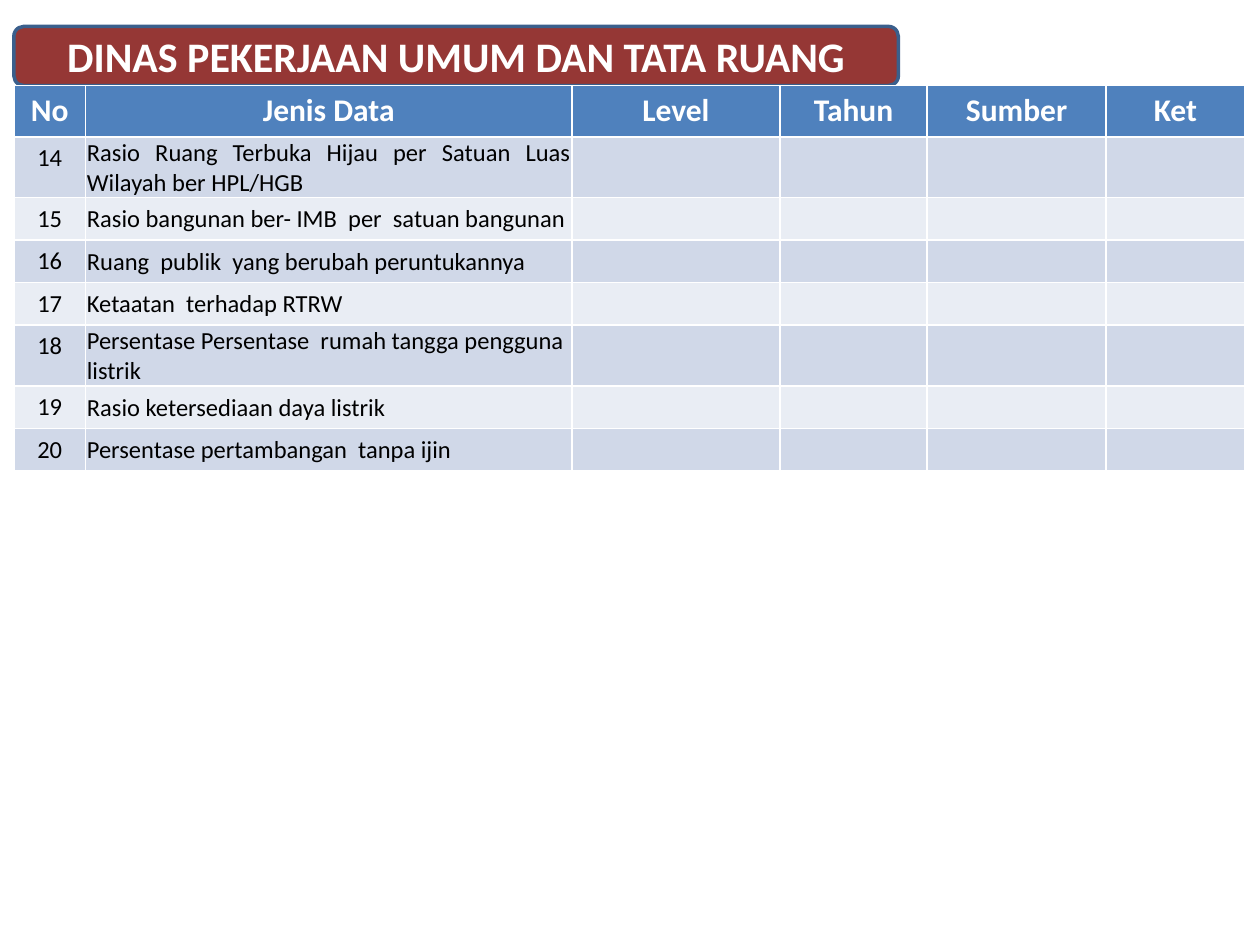
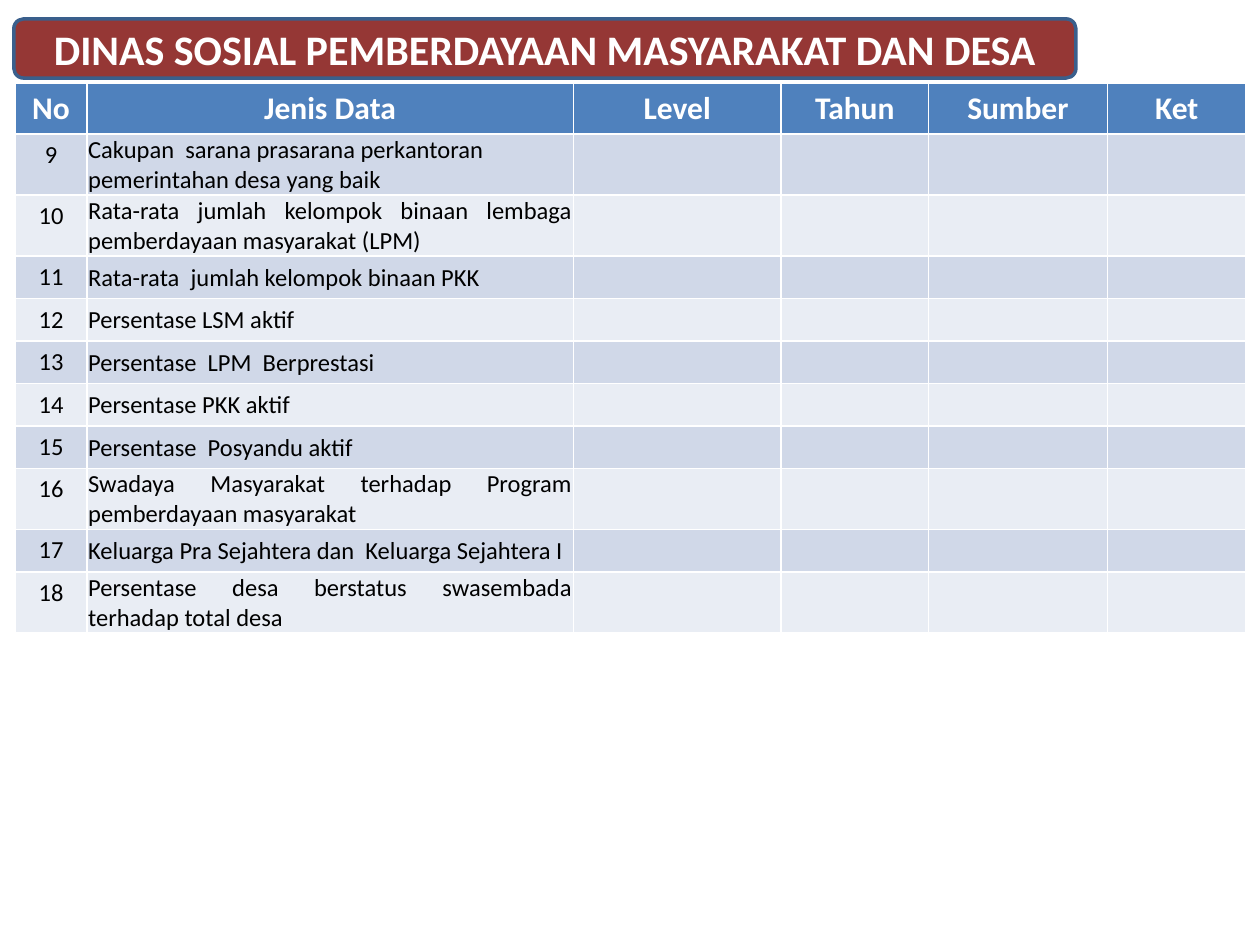
from dataclasses import dataclass

from pptx import Presentation
from pptx.dml.color import RGBColor
from pptx.enum.shapes import MSO_SHAPE as Shape
from pptx.enum.text import MSO_ANCHOR as Anchor, PP_ALIGN as Align
from pptx.util import Inches, Pt


@dataclass(frozen=True)
class Theme:
    font: str = "Calibri"
    title_fill: RGBColor = RGBColor(0x95, 0x37, 0x35)
    title_line: RGBColor = RGBColor(0x3A, 0x5F, 0x8C)
    header_fill: RGBColor = RGBColor(0x4F, 0x81, 0xBD)
    band_fills: tuple = (RGBColor(0xD0, 0xD8, 0xE8), RGBColor(0xE9, 0xED, 0xF4))
    light: RGBColor = RGBColor(0xFF, 0xFF, 0xFF)
    dark: RGBColor = RGBColor(0, 0, 0)
    title_size: Pt = Pt(24)
    header_size: Pt = Pt(18)
    body_size: Pt = Pt(14)


COLUMNS = {"No": 0.57, "Jenis Data": 3.86, "Level": 1.65,
           "Tahun": 1.17, "Sumber": 1.42, "Ket": 1.1}
HEADER_HEIGHT = 0.36
ROW_HEIGHT = 0.33

PUBLIC_WORKS = [
    "Rasio Ruang Terbuka Hijau per Satuan Luas Wilayah ber HPL/HGB",
    "Rasio bangunan ber- IMB  per  satuan bangunan",
    "Ruang  publik  yang berubah peruntukannya",
    "Ketaatan  terhadap RTRW",
    "Persentase Persentase  rumah tangga pengguna listrik",
    "Rasio ketersediaan daya listrik",
    "Persentase pertambangan  tanpa ijin",
]
SOCIAL_AFFAIRS = [
    "Cakupan  sarana prasarana perkantoran pemerintahan desa yang baik",
    "Rata-rata jumlah kelompok binaan lembaga pemberdayaan masyarakat (LPM)",
    "Rata-rata  jumlah kelompok binaan PKK",
    "Persentase LSM aktif",
    "Persentase  LPM  Berprestasi",
    "Persentase PKK aktif",
    "Persentase  Posyandu aktif",
    "Swadaya Masyarakat terhadap Program pemberdayaan masyarakat",
    "Keluarga Pra Sejahtera dan  Keluarga Sejahtera I",
    "Persentase desa berstatus swasembada terhadap total desa",
]


class DataDeck:
    def __init__(self, theme):
        self.theme = theme
        self.presentation = Presentation()
        self.presentation.slide_width = Inches(10)
        self.presentation.slide_height = Inches(7.5)
        self.slide = None

    def add_slide(self):
        self.slide = self.presentation.slides.add_slide(self.presentation.slide_layouts[6])

    def set_text(self, text_frame, text, size, color, bold=False, align=Align.CENTER):
        paragraph = text_frame.paragraphs[0]
        paragraph.text = text
        paragraph.alignment = align
        font = paragraph.font
        font.name, font.size, font.bold = self.theme.font, size, bold
        font.color.rgb = color

    def title(self, text, top, width):
        shape = self.slide.shapes.add_shape(
            Shape.ROUNDED_RECTANGLE, Inches(0.11), Inches(top), Inches(width), Inches(0.47))
        shape.shadow.inherit = False
        shape.fill.solid()
        shape.fill.fore_color.rgb = self.theme.title_fill
        shape.line.color.rgb = self.theme.title_line
        shape.line.width = Pt(2)
        shape.text_frame.vertical_anchor = Anchor.MIDDLE
        self.set_text(shape.text_frame, text, self.theme.title_size, self.theme.light, bold=True)

    def cell(self, cell, fill, margin=None):
        cell.fill.solid()
        cell.fill.fore_color.rgb = fill
        if margin is not None:
            cell.margin_left = cell.margin_right = cell.margin_top = Inches(margin)
            cell.margin_bottom = 0
        return cell.text_frame

    def data_table(self, left, top, first_number, items, justified=()):
        theme = self.theme
        height = HEADER_HEIGHT + ROW_HEIGHT * len(items)
        table = self.slide.shapes.add_table(
            len(items) + 1, len(COLUMNS), Inches(left), Inches(top),
            Inches(sum(COLUMNS.values())), Inches(height)).table
        table.horz_banding = False

        table.rows[0].height = Inches(HEADER_HEIGHT)
        for column, (name, width) in enumerate(COLUMNS.items()):
            table.columns[column].width = Inches(width)
            frame = self.cell(table.cell(0, column), theme.header_fill)
            self.set_text(frame, name, theme.header_size, theme.light, bold=True)

        for row, item in enumerate(items, start=1):
            number = first_number + row - 1
            fill = theme.band_fills[(row - 1) % 2]
            table.rows[row].height = Inches(ROW_HEIGHT)
            frame = self.cell(table.cell(row, 0), fill)
            self.set_text(frame, str(number), theme.body_size, theme.dark)
            item_cell = table.cell(row, 1)
            item_cell.vertical_anchor = Anchor.MIDDLE
            frame = self.cell(item_cell, fill, margin=0.01)
            align = Align.JUSTIFY if number in justified else Align.LEFT
            self.set_text(frame, item, theme.body_size, theme.dark, align=align)
            for column in range(2, len(COLUMNS)):
                self.cell(table.cell(row, column), fill, margin=0)


def main():
    deck = DataDeck(Theme())

    deck.add_slide()
    deck.title("DINAS PEKERJAAN UMUM DAN TATA RUANG", top=0.21, width=7.02)
    deck.data_table(0.11, 0.68, 14, PUBLIC_WORKS, justified={14})

    deck.add_slide()
    deck.title("DINAS SOSIAL PEMBERDAYAAN MASYARAKAT DAN DESA", top=0.15, width=8.43)
    deck.data_table(0.12, 0.66, 9, SOCIAL_AFFAIRS, justified={10, 16, 18})

    deck.presentation.save("out.pptx")


if __name__ == "__main__":
    main()
